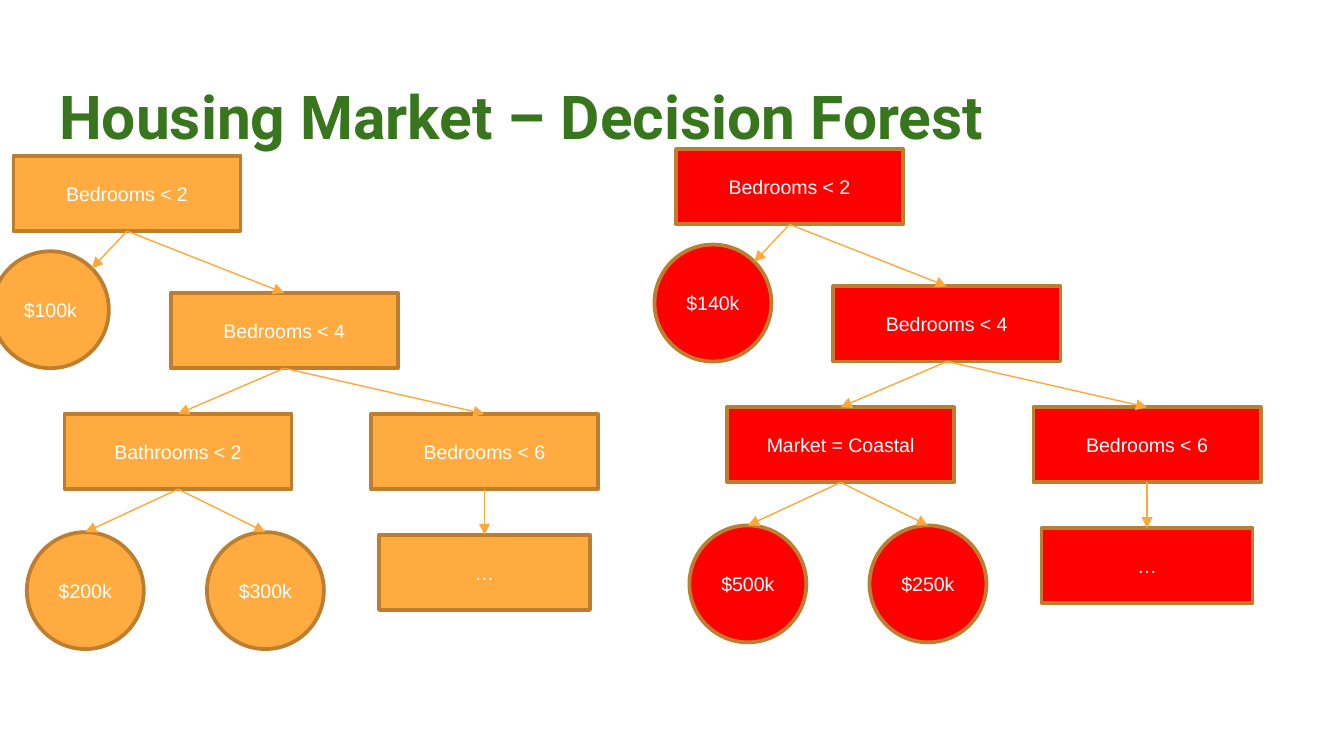
"""Build a slide with two decision trees of a housing forest."""
import math

from lxml import etree
from pptx import Presentation
from pptx import util as u
from pptx.dml.color import RGBColor
from pptx.enum import shapes, text
from pptx.oxml.ns import qn

COLORS = {"title": "38761D", "orange": "FFAB40", "red": "FF0000",
          "border": "BD7F2F", "arrow": "FEA83A", "label": "FFFFFF"}
RECTANGLE = shapes.MSO_SHAPE.RECTANGLE
OVAL = shapes.MSO_SHAPE.OVAL
SIZES = {"test": (RECTANGLE, 1.69, 0.56), "more": (RECTANGLE, 1.57, 0.56),
         "price": (OVAL, 0.87, 0.87)}
NODES = {"root": ("test", 0.16, 0), "low": ("price", 0, 0.71),
         "middle": ("test", 1.33, 1.02), "left": ("test", 0.54, 1.92),
         "right": ("test", 2.82, 1.92), "first": ("price", 0.26, 2.8),
         "second": ("price", 1.6, 2.8), "more": ("more", 2.88, 2.82)}
BRANCHES = [("root", "low"), ("root", "middle"), ("middle", "left"),
            ("middle", "right"), ("left", "first"), ("left", "second"),
            ("right", "more")]


def color(name):
    """Return the named colour."""
    return RGBColor.from_string(COLORS[name])


def write(frame, words, align, **formats):
    """Write one formatted line of text into a frame."""
    para = frame.paragraphs[0]
    para.alignment = align
    span = para.add_run()
    span.text = words
    span.font.color.rgb = color(formats.pop("tint"))
    for name, value in formats.items():
        setattr(span.font, name, value)


def add_title(page, left, top, width, height):
    """Place and fill the title placeholder."""
    title = page.shapes.title
    box = {"left": left, "top": top, "width": width, "height": height}
    for name, value in box.items():
        setattr(title, name, u.Inches(value))
    frame = title.text_frame
    frame.auto_size = text.MSO_AUTO_SIZE.NONE
    frame.vertical_anchor = text.MSO_ANCHOR.TOP
    for side in ("left", "top", "right", "bottom"):
        setattr(frame, f"margin_{side}", u.Inches(0.1))
    write(frame, "Housing Market – Decision Forest", text.PP_ALIGN.LEFT,
          tint="title", size=u.Pt(32.4), name="Roboto", bold=True)


def add_node(page, left, top, kind, words, fill):
    """Draw one labelled node."""
    preset, width, height = SIZES[kind]
    node = page.shapes.add_shape(preset, *map(u.Inches, (left, top, width, height)))
    node.shadow.inherit = False
    node.fill.solid()
    node.fill.fore_color.rgb = color(fill)
    node.line.color.rgb = color("border")
    node.line.width = u.Pt(2)
    node.text_frame.vertical_anchor = text.MSO_ANCHOR.MIDDLE
    write(node.text_frame, words, text.PP_ALIGN.CENTER,
          tint="label", size=u.Pt(10.5), name="Arial")
    return node


def add_branch(page, parent, child, at_corner):
    """Draw an arrow from a parent to the top or upper right of its child."""
    reach = child.width / 2 * (1 + math.sqrt(0.5))
    end_x = int(child.left + reach)
    end_y = int(child.top + child.height - reach)
    arrow = page.shapes.add_connector(shapes.MSO_CONNECTOR.STRAIGHT, 0, 0, end_x, end_y)
    arrow.begin_connect(parent, 2)
    if not at_corner:
        arrow.end_connect(child, 0)
    arrow.line.color.rgb = color("arrow")
    arrow.line.width = u.Pt(0.75)
    properties = arrow._element.spPr
    etree.SubElement(properties.find(qn("a:ln")), qn("a:tailEnd"), type="triangle")
    etree.SubElement(properties, qn("a:effectLst"))


def add_tree(page, left, top, fill, split, prices):
    """Draw a decision tree from its upper left corner."""
    low, first, second = prices
    labels = {"root": "Bedrooms < 2", "low": low, "middle": "Bedrooms < 4",
              "left": split, "right": "Bedrooms < 6", "first": first,
              "second": second, "more": "…"}
    nodes = {name: add_node(page, left + x, top + y, kind, labels[name], fill)
             for name, (kind, x, y) in NODES.items()}
    for parent, child in BRANCHES:
        add_branch(page, nodes[parent], nodes[child], child == "low")


def main():
    """Build and save the deck."""
    deck = Presentation()
    deck.slide_width = u.Inches(10)
    deck.slide_height = deck.slide_width * 9 // 16
    page = deck.slides.add_slide(deck.slide_layouts[5])
    add_title(page, 0.34, 0.49, 9.32, 0.63)
    add_tree(page, -0.06, 1.16, "orange", "Bathrooms < 2", ("$100k", "$200k", "$300k"))
    add_tree(page, 4.87, 1.11, "red", "Market = Coastal", ("$140k", "$500k", "$250k"))
    deck.save("out.pptx")


if __name__ == "__main__":
    main()
